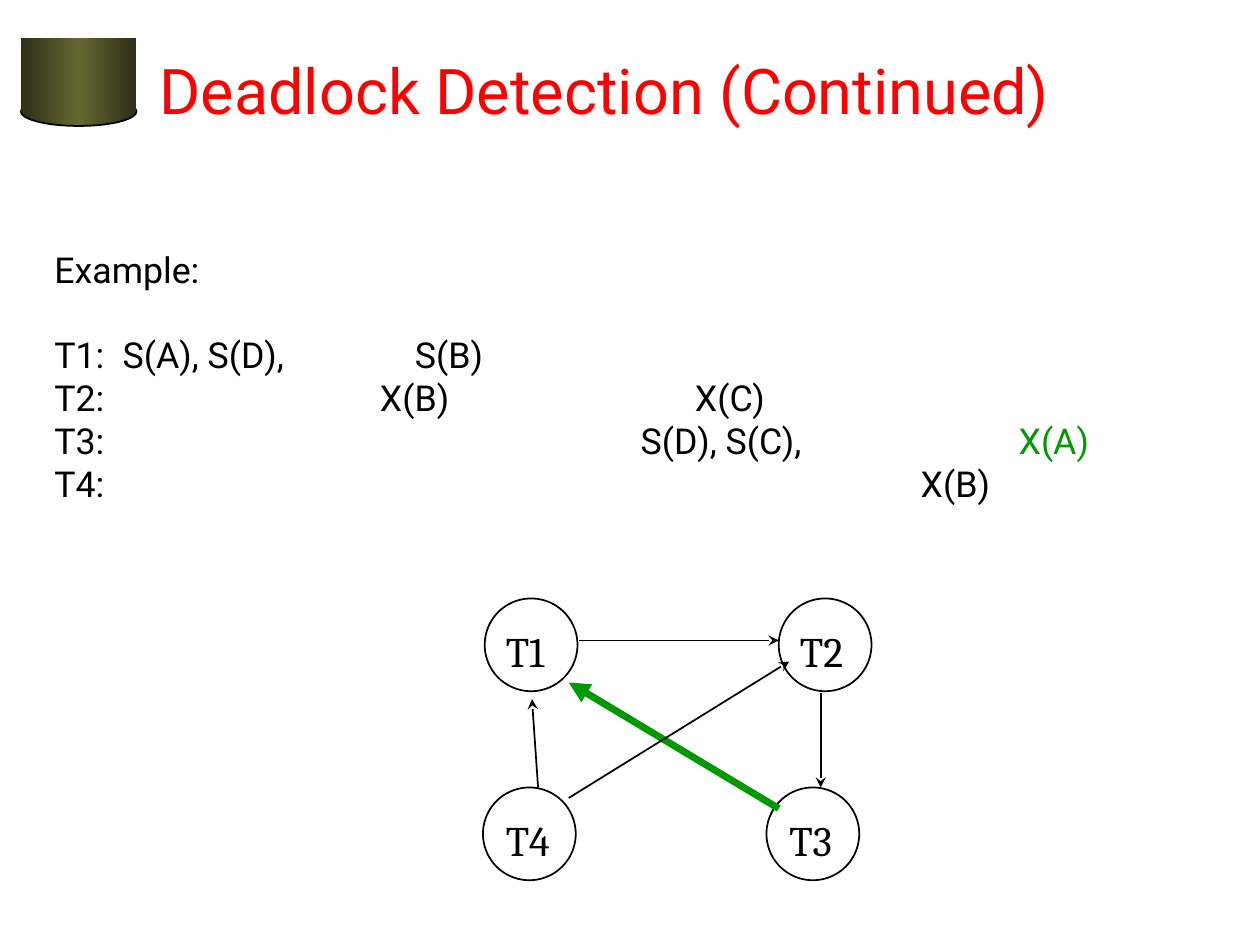
from copy import deepcopy

from lxml.etree import SubElement
from pptx import Presentation
from pptx.dml.color import RGBColor
from pptx.enum.shapes import MSO_CONNECTOR, MSO_SHAPE
from pptx.enum.text import MSO_ANCHOR, MSO_AUTO_SIZE, PP_ALIGN
from pptx.oxml.ns import qn
from pptx.util import Pt

TITLE = "Deadlock Detection (Continued)"
HEADING = "Example:"
BLACK, RED, GREEN = "000000", "FF0000", "009900"
OLIVE_STOPS = [(0, "2F2F18"), (0.5, "666633"), (1, "2F2F18")]
SCHEDULE = [
    ("T1:", [(39, "S(A), S(D),", BLACK), (206, "S(B)", BLACK)]),
    ("T2:", [(186, "X(B)", BLACK), (366, "X(C)", BLACK)]),
    ("T3:", [(335, "S(D), S(C),", BLACK), (551, "X(A)", GREEN)]),
    ("T4:", [(495, "X(B)", BLACK)]),
]
NODE_SIZE = 53
NODES = [
    ("T1", (277, 342), (282, 354)),
    ("T2", (445, 342), (450, 354)),
    ("T4", (276, 450), (282, 462)),
    ("T3", (438, 450), (444, 462)),
]
WAITS = [
    ((331, 366), (445, 366), BLACK, 1, "stealth"),
    ((469, 396), (469, 450), BLACK, 1, "stealth"),
    ((445, 462), (325, 390), GREEN, 4, "triangle"),
    ((325, 456), (451, 378), BLACK, 1, "stealth"),
    ((307.5, 450), (304, 399.5), BLACK, 1, "stealth"),
]


def color(value):
    return RGBColor.from_string(value)


def style(font, name, size, value):
    font.name, font.size = name, Pt(size)
    font.color.rgb = color(value)


def add_outlined(shapes, kind, left, top, width, height):
    shape = shapes.add_shape(kind, Pt(left), Pt(top), Pt(width), Pt(height))
    shape.shadow.inherit = False
    shape.fill.background()
    shape.line.color.rgb = color(BLACK)
    shape.line.width = Pt(1)
    return shape


def fill_olive(shape):
    shape.fill.gradient()
    shape.fill.gradient_angle = 0
    stop_list = shape._element.spPr.find(qn("a:gradFill")).find(qn("a:gsLst"))
    stop_list.append(deepcopy(stop_list[0]))
    for stop, (position, value) in zip(shape.fill.gradient_stops, OLIVE_STOPS):
        stop.position = position
        stop.color.rgb = color(value)


def add_cylinder(slide):
    group = slide.shapes.add_group_shape()
    fill_olive(add_outlined(group.shapes, MSO_SHAPE.OVAL, 12, 55.5, 66, 16.5))
    body = add_outlined(group.shapes, MSO_SHAPE.RECTANGLE, 12, 21.5, 66, 42.5)
    fill_olive(body)
    body.line.fill.background()


def add_title(slide):
    title = slide.shapes.title
    title.left, title.top, title.width, title.height = Pt(84), Pt(6), Pt(612), Pt(90)
    frame = title.text_frame
    frame.text = TITLE
    frame.auto_size = MSO_AUTO_SIZE.NONE
    frame.vertical_anchor = MSO_ANCHOR.MIDDLE
    frame.paragraphs[0].alignment = PP_ALIGN.LEFT
    style(frame.paragraphs[0].runs[0].font, "Roboto", 36, RED)


def add_schedule(slide):
    frame = slide.shapes.add_textbox(Pt(24), Pt(138), Pt(696), Pt(180)).text_frame
    frame.word_wrap = True
    frame.text = HEADING
    style(frame.paragraphs[0].runs[0].font, "Roboto", 20.4, BLACK)
    for index, (label, operations) in enumerate(SCHEDULE):
        paragraph = frame.add_paragraph()
        if index == 0:
            paragraph.space_before = Pt(24.4)
        tabs = SubElement(paragraph._p.get_or_add_pPr(), qn("a:tabLst"))
        for position, _, _ in operations:
            SubElement(tabs, qn("a:tab"), pos=str(Pt(position)), algn="l")
        pieces = [(label, BLACK)] + [("\t" + text, value) for _, text, value in operations]
        for text, value in pieces:
            run = paragraph.add_run()
            run.text = text
            style(run.font, "Roboto", 20.4, value)


def add_node(slide, name, corner, label_corner):
    add_outlined(slide.shapes, MSO_SHAPE.OVAL, *corner, NODE_SIZE, NODE_SIZE)
    left, top = label_corner
    frame = slide.shapes.add_textbox(Pt(left), Pt(top), Pt(43), Pt(36)).text_frame
    frame.word_wrap = False
    frame.text = name
    style(frame.paragraphs[0].runs[0].font, "Cambria", 24, BLACK)


def add_wait(slide, start, end, value, width, head):
    points = [Pt(length) for length in start + end]
    arrow = slide.shapes.add_connector(MSO_CONNECTOR.STRAIGHT, *points)
    arrow.line.color.rgb = color(value)
    arrow.line.width = Pt(width)
    SubElement(arrow.line._get_or_add_ln(), qn("a:tailEnd"), type=head)
    SubElement(arrow._element.spPr, qn("a:effectLst"))


def main():
    """Build the deadlock detection slide with its schedule and waits-for graph."""
    presentation = Presentation()
    presentation.slide_width, presentation.slide_height = Pt(720), Pt(540)
    slide = presentation.slides.add_slide(presentation.slide_layouts[5])
    add_cylinder(slide)
    add_title(slide)
    add_schedule(slide)
    for node in NODES:
        add_node(slide, *node)
    for wait in WAITS:
        add_wait(slide, *wait)
    presentation.save("out.pptx")


if __name__ == "__main__":
    main()
